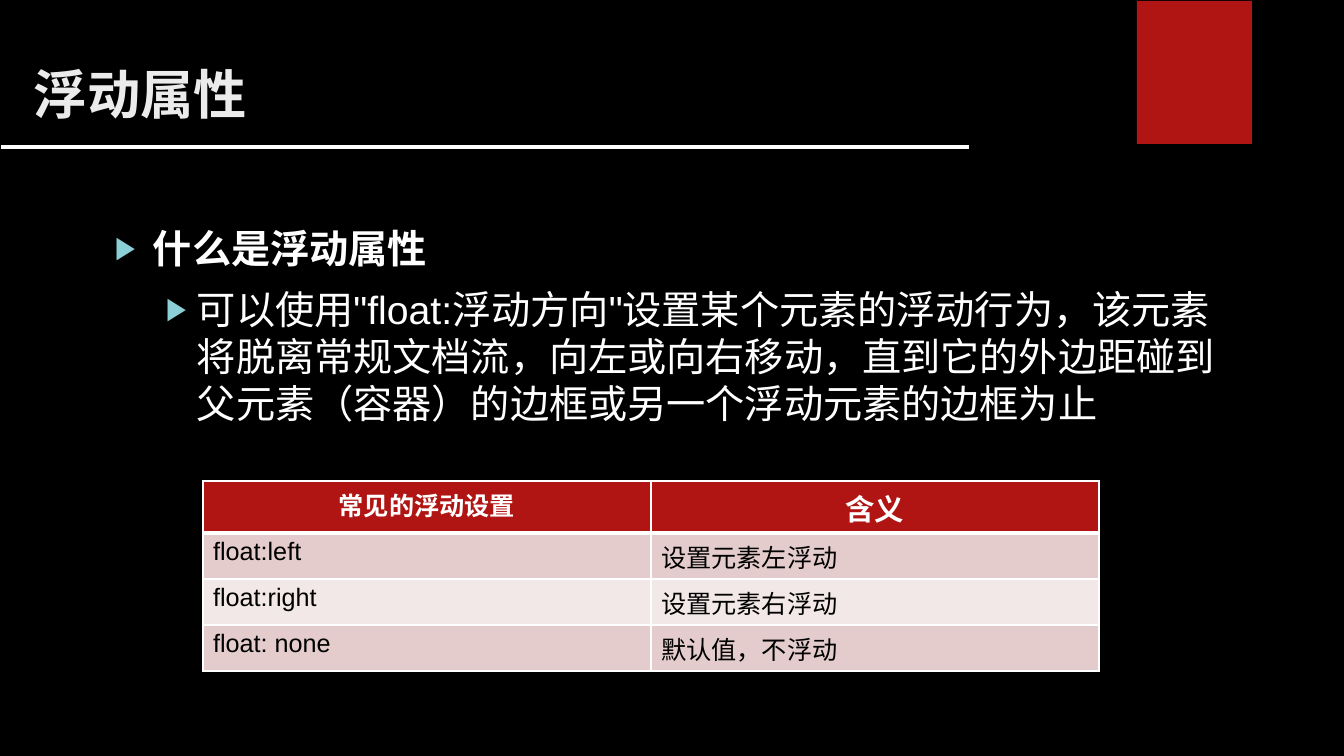
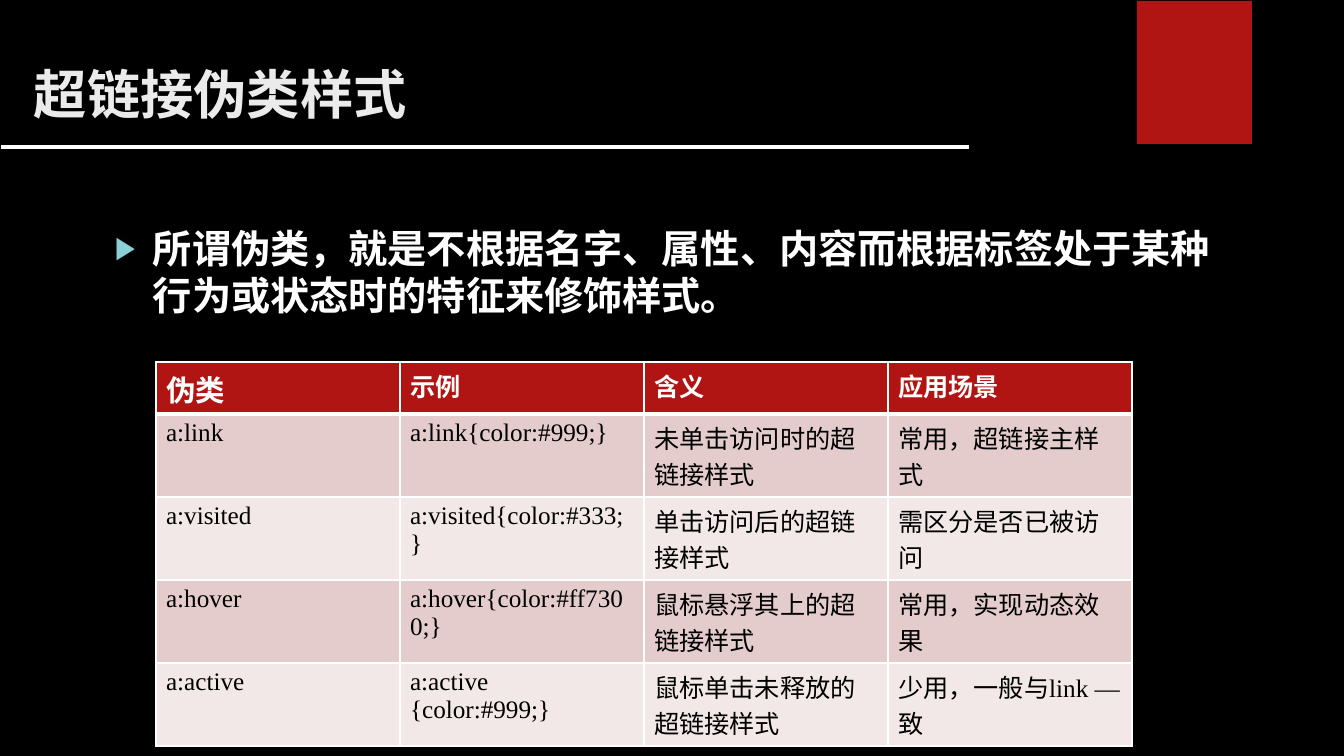
from lxml import etree
from pptx import Presentation
from pptx.dml.color import RGBColor
from pptx.enum.shapes import MSO_CONNECTOR, MSO_SHAPE
from pptx.enum.text import MSO_ANCHOR, PP_ALIGN
from pptx.oxml.ns import qn
from pptx.util import Emu, Pt

RECTANGLE = MSO_SHAPE.RECTANGLE
STRAIGHT = MSO_CONNECTOR.STRAIGHT
TOP = MSO_ANCHOR.TOP
LEFT, CENTER = PP_ALIGN.LEFT, PP_ALIGN.CENTER

BLACK, WHITE, RED = "000000", "FFFFFF", "B01513"
TITLE_GREY, BULLET_BLUE = "EBEBEB", "8AD0D6"
ROW_FILLS = ("E4CCCC", "F2E8E7")
CJK_FONT = "Noto Sans CJK SC"

EMU_PER_PX = 914400 / 100.8
PAGE_SIZE = (1344, 756)
TITLE_BOX = (24, 50, 1092, 122)
BODY_BOX = (105, 216, 1152, 459)
CORNER_BOX = (1137, 1, 115, 143)
RULE_ENDS = (1, 147, 969, 147)
HEADER_HEIGHT = 52

TITLE_FORMAT = {"size": Pt(38), "bold": True, "name": CJK_FONT}
# Per outline level: text left edge, hanging bullet, space before, font
LEVELS = (
    {"left": 38, "hang": 38, "before": 0,
     "font": {"size": Pt(28), "bold": True, "name": CJK_FONT}},
    {"left": 82, "hang": 31, "before": 10,
     "font": {"size": Pt(28), "bold": False, "name": "Arial"}},
)


def px(length):
    return Emu(round(length * EMU_PER_PX))


def scaled(box):
    return [px(length) for length in box]


def color(value):
    return RGBColor.from_string(value)


def add_element(parent, tag, **attributes):
    return etree.SubElement(parent, qn(tag), attributes)


def write(para, text, font_format, text_color):
    span = para.add_run()
    span.text = text
    span.font.color.rgb = color(text_color)
    for key, value in font_format.items():
        setattr(span.font, key, value)
    add_element(span.font._element, "a:ea", typeface=CJK_FONT)


def add_text_frame(page, box, top_inset):
    frame = page.shapes.add_textbox(*scaled(box)).text_frame
    frame_format = {"word_wrap": True, "vertical_anchor": TOP,
                    "margin_top": px(top_inset)}
    for key, value in frame_format.items():
        setattr(frame, key, value)
    return frame


def add_page(deck, title):
    page = deck.slides.add_slide(deck.slide_layouts[6])
    page.background.fill.solid()
    page.background.fill.fore_color.rgb = color(BLACK)

    # Red corner block
    corner = page.shapes.add_shape(RECTANGLE, *scaled(CORNER_BOX))
    corner.shadow.inherit = False
    corner.fill.solid()
    corner.fill.fore_color.rgb = color(RED)
    corner.line.fill.background()

    # Rule under the title
    rule = page.shapes.add_connector(STRAIGHT, *scaled(RULE_ENDS))
    rule.line.color.rgb = color(WHITE)
    rule.line.width = Pt(2.25)
    add_element(rule._element.spPr, "a:effectLst")

    # Title
    para = add_text_frame(page, TITLE_BOX, 5).paragraphs[0]
    para.line_spacing = Pt(50)
    write(para, title, TITLE_FORMAT, TITLE_GREY)
    return page


def add_outline(page, box, items):
    frame = add_text_frame(page, box, 8)
    for index, (level, text) in enumerate(items):
        para = frame.add_paragraph() if index else frame.paragraphs[0]
        style = LEVELS[level]
        para.level = level
        para.line_spacing = Pt(33.6)
        para.space_before = Pt(style["before"])
        # Hanging triangle bullet
        props = para._p.get_or_add_pPr()
        props.set("marL", str(px(style["left"])))
        props.set("indent", str(-px(style["hang"])))
        add_element(add_element(props, "a:buClr"), "a:srgbClr", val=BULLET_BLUE)
        add_element(props, "a:buSzPct", val="80000")
        add_element(props, "a:buFont", typeface="Arial")
        add_element(props, "a:buChar", char="▶")
        write(para, text, style["font"], WHITE)


def set_borders(cell, widths):
    props = cell._tc.get_or_add_tcPr()
    for index, (side, points) in enumerate(widths.items()):
        line = etree.Element(qn(f"a:ln{side}"), w=str(Pt(points)))
        fill = add_element(line, "a:solidFill")
        add_element(fill, "a:srgbClr", val=WHITE)
        props.insert(index, line)


def add_grid(page, origin, column_width, row_height, rows, font_name,
             big_column, header_align):
    count = len(rows[0])
    size = (column_width * count, HEADER_HEIGHT + row_height * (len(rows) - 1))
    table = page.shapes.add_table(len(rows), count,
                                  *scaled(origin + size)).table
    for column in table.columns:
        column.width = px(column_width)
    for row_index, texts in enumerate(rows):
        header = row_index == 0
        table.rows[row_index].height = px(HEADER_HEIGHT if header else row_height)
        for column_index, text in enumerate(texts):
            cell = table.cell(row_index, column_index)
            cell.fill.solid()
            cell.fill.fore_color.rgb = color(
                RED if header else ROW_FILLS[(row_index - 1) % 2])
            set_borders(cell, {"L": 1, "R": 1, "T": 3 if row_index == 1 else 1,
                               "B": 3 if header else 1})
            para = cell.text_frame.paragraphs[0]
            para.alignment = header_align if header else LEFT
            big = header and column_index == big_column
            font_format = {"size": Pt(21 if big else 18), "bold": header,
                           "name": font_name}
            write(para, text, font_format, WHITE if header else BLACK)


def add_float_page(deck):
    page = add_page(deck, "浮动属性")
    add_outline(page, BODY_BOX, [
        (0, "什么是浮动属性"),
        (1, "可以使用\"float:浮动方向\"设置某个元素的浮动行为，该元素将脱离常规文档流，"
            "向左或向右移动，直到它的外边距碰到父元素（容器）的边框或另一个浮动元素的边框为止"),
    ])
    add_grid(page, (203, 481), 448, 46, [
        ("常见的浮动设置", "含义"),
        ("float:left", "设置元素左浮动"),
        ("float:right", "设置元素右浮动"),
        ("float: none", "默认值，不浮动"),
    ], "Arial", big_column=1, header_align=CENTER)


def add_link_page(deck):
    page = add_page(deck, "超链接伪类样式")
    add_outline(page, BODY_BOX, [
        (0, "所谓伪类，就是不根据名字、属性、内容而根据标签处于某种行为或状态时的特征来修饰样式。"),
    ])
    add_grid(page, (156, 362), 244, 83, [
        ("伪类", "示例", "含义", "应用场景"),
        ("a:link", "a:link{color:#999;}", "未单击访问时的超链接样式", "常用，超链接主样式"),
        ("a:visited", "a:visited{color:#333;}", "单击访问后的超链接样式", "需区分是否已被访问"),
        ("a:hover", "a:hover{color:#ff7300;}", "鼠标悬浮其上的超链接样式", "常用，实现动态效果"),
        ("a:active", "a:active {color:#999;}", "鼠标单击未释放的超链接样式", "少用，一般与link —致"),
    ], "Times New Roman", big_column=0, header_align=LEFT)


def main():
    deck = Presentation()
    deck.slide_width, deck.slide_height = scaled(PAGE_SIZE)
    add_float_page(deck)
    add_link_page(deck)
    deck.save("out.pptx")


if __name__ == "__main__":
    main()
